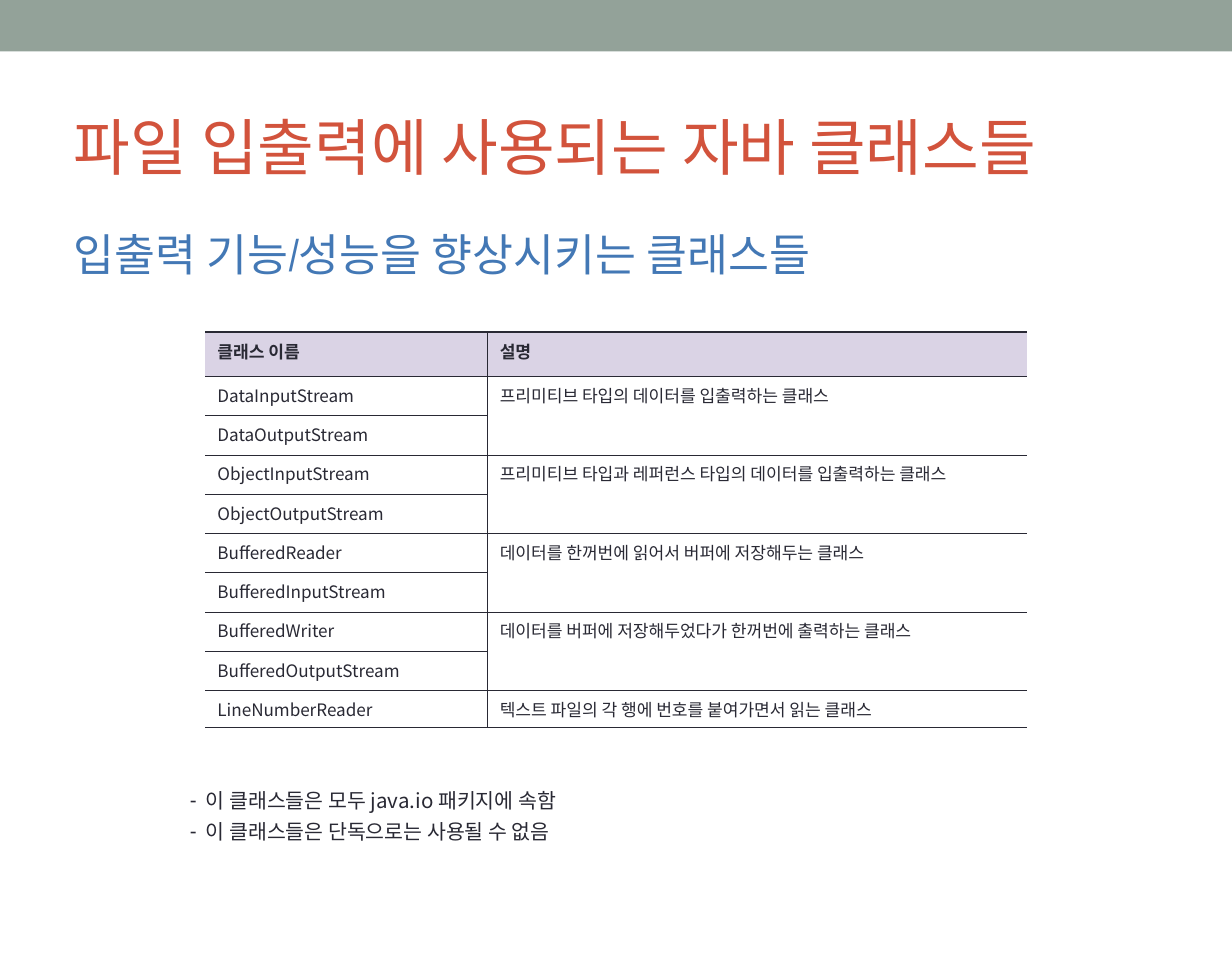
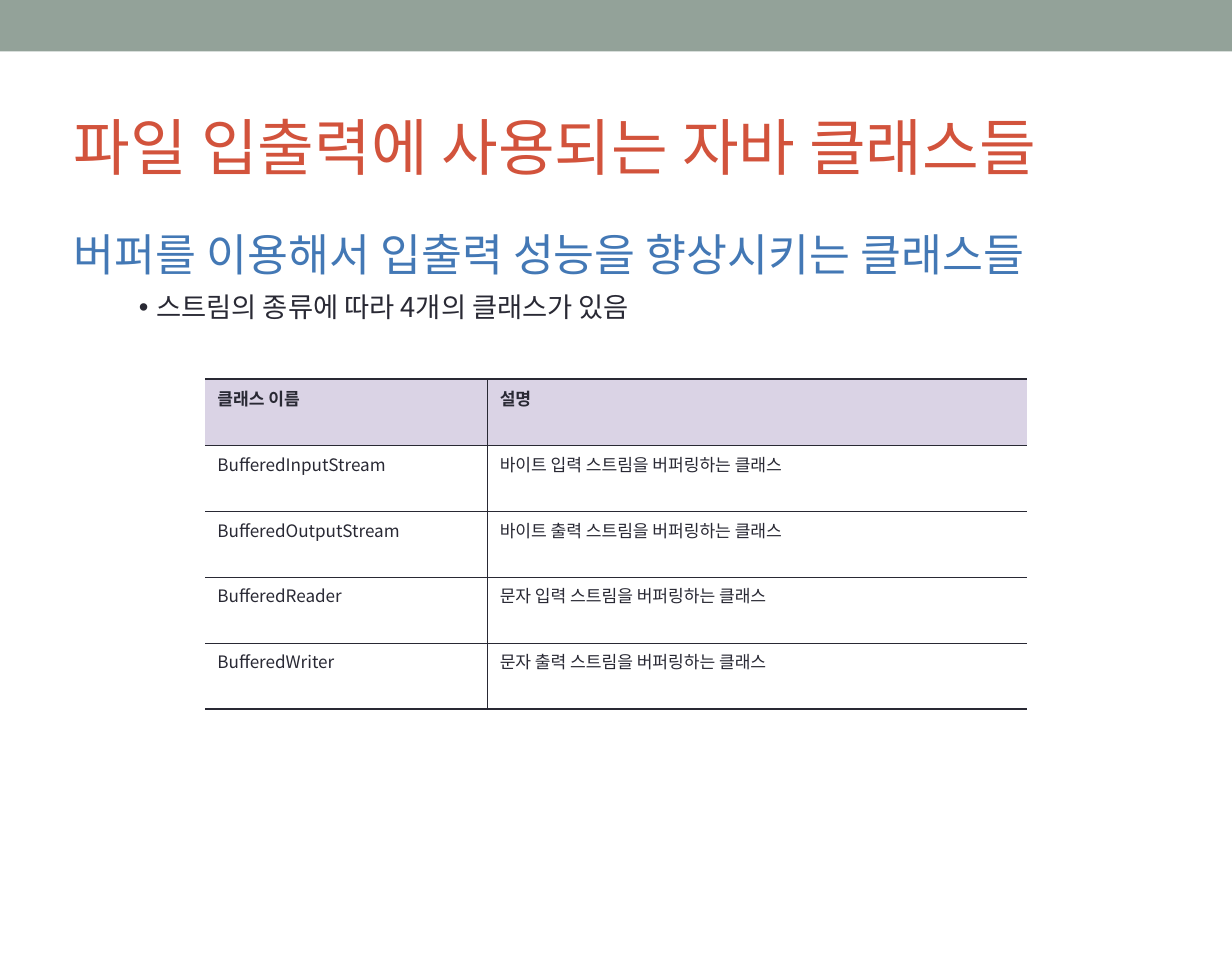
from lxml import etree
from pptx import Presentation
from pptx.dml.color import RGBColor
from pptx.enum.shapes import MSO_SHAPE
from pptx.enum.text import MSO_ANCHOR, MSO_AUTO_SIZE, PP_ALIGN
from pptx.oxml.ns import qn
from pptx.util import Cm, Pt

RECT = MSO_SHAPE.RECTANGLE
MIDDLE, TOP = MSO_ANCHOR.MIDDLE, MSO_ANCHOR.TOP
LEFT = PP_ALIGN.LEFT
FIXED = MSO_AUTO_SIZE.NONE

COLORS = {"band": "93A299", "title": "D2533C", "head": "4378B5",
          "text": "292934", "row": "DAD3E5"}
FONT, NARROW = "Noto Sans CJK KR", "Arial Narrow"
PLAIN = "{2D5ABB26-0587-4C30-8999-92F81FD0307C}"
THIN, THICK = Pt(0.45), Pt(1.08)

TITLE = "파일 입출력에 사용되는 자바 클래스들"
HEADER = ("클래스 이름", "설명")

# Notes: bullet mark, level, size, margin and hang in cm, space around.
DASH = ("-", 2, 12, 2.72, 0.33, 2.4)
DOT = ("•", 1, 16, 1.7, 0.36, 2.4)

# Each table row group: class names that share one description.
PAGES = [
    {
        "head": "입출력 기능/성능을 향상시키는 클래스들",
        "notes": ["이 클래스들은 모두 java.io 패키지에 속함",
                  "이 클래스들은 단독으로는 사용될 수 없음"],
        "mark": DASH,
        "gap": 293,
        "top": 6.85,
        "rows": [0.91] + [0.81] * 8 + [0.76],
        "groups": [
            (["DataInputStream", "DataOutputStream"],
             "프리미티브 타입의 데이터를 입출력하는 클래스"),
            (["ObjectInputStream", "ObjectOutputStream"],
             "프리미티브 타입과 레퍼런스 타입의 데이터를 입출력하는 클래스"),
            (["BufferedReader", "BufferedInputStream"],
             "데이터를 한꺼번에 읽어서 버퍼에 저장해두는 클래스"),
            (["BufferedWriter", "BufferedOutputStream"],
             "데이터를 버퍼에 저장해두었다가 한꺼번에 출력하는 클래스"),
            (["LineNumberReader"],
             "텍스트 파일의 각 행에 번호를 붙여가면서 읽는 클래스"),
        ],
    },
    {
        "head": "버퍼를 이용해서 입출력 성능을 향상시키는 클래스들",
        "notes": ["스트림의 종류에 따라 4개의 클래스가 있음"],
        "mark": DOT,
        "gap": 2.4,
        "top": 7.82,
        "rows": [1.36] * 5,
        "groups": [
            (["BufferedInputStream"], "바이트 입력 스트림을 버퍼링하는 클래스"),
            (["BufferedOutputStream"], "바이트 출력 스트림을 버퍼링하는 클래스"),
            (["BufferedReader"], "문자 입력 스트림을 버퍼링하는 클래스"),
            (["BufferedWriter"], "문자 출력 스트림을 버퍼링하는 클래스"),
        ],
    },
]


def style(para, size, color, face=FONT, bold=False):
    """Format every run; Korean letters always use FONT."""
    para.alignment = LEFT
    for run in para.runs:
        font = run.font
        font.name, font.size, font.bold = face, Pt(size), bold
        font.color.rgb = RGBColor.from_string(COLORS[color])
        east = etree.SubElement(font._element, qn("a:ea"))
        east.set("typeface", FONT)


def border(cell, sides):
    """Draw the given sides (tag to width) and hide the others."""
    props = cell._tc.get_or_add_tcPr()
    for spot, tag in enumerate(("lnL", "lnR", "lnT", "lnB")):
        line = etree.Element(qn(f"a:{tag}"))
        if tag in sides:
            line.set("w", str(int(sides[tag])))
            fill = etree.SubElement(line, qn("a:solidFill"))
            etree.SubElement(fill, qn("a:srgbClr")).set("val", COLORS["text"])
        else:
            etree.SubElement(line, qn("a:noFill"))
        props.insert(spot, line)


prs = Presentation()
prs.slide_width, prs.slide_height = Cm(25.4), Cm(20)

# Shared layout: places of title and body
layout = prs.slide_layouts[1]
for holder, top, height in zip(layout.placeholders, (1.55, 4.67), (2.9, 14.22)):
    holder.left, holder.top = Cm(1.27), Cm(top)
    holder.width, holder.height = Cm(22.86), Cm(height)

for page in PAGES:
    slide = prs.slides.add_slide(layout)

    # Title
    frame = slide.shapes.title.text_frame
    frame.text = TITLE
    frame.auto_size, frame.vertical_anchor = FIXED, MIDDLE
    style(frame.paragraphs[0], 36, "title")

    # Heading and notes
    frame = slide.placeholders[1].text_frame
    frame.text = "\n".join([page["head"], *page["notes"]])
    frame.auto_size, frame.vertical_anchor = FIXED, TOP
    head, *notes = frame.paragraphs
    head.line_spacing, head.space_before, head.space_after = 0.9, Pt(0), Pt(5.2)
    props = head._p.get_or_add_pPr()
    props.set("marL", "0")
    props.set("indent", "0")
    etree.SubElement(props, qn("a:buNone"))
    style(head, 26, "head", NARROW)

    mark, level, size, margin, hang, space = page["mark"]
    for pos, note in enumerate(notes):
        note.level, note.line_spacing = level, 0.9
        note.space_before = Pt(space if pos else page["gap"])
        note.space_after = Pt(space)
        props = note._p.get_or_add_pPr()
        props.set("marL", str(Cm(margin)))
        props.set("indent", str(-Cm(hang)))
        etree.SubElement(props, qn("a:buFont")).set("typeface", "Arial")
        etree.SubElement(props, qn("a:buChar")).set("char", mark)
        style(note, size, "text")

    # Class table
    rows = page["rows"]
    shape = slide.shapes.add_table(len(rows), 2, Cm(4.23), Cm(page["top"]),
                                   Cm(16.94), Cm(sum(rows)))
    table = shape.table
    table._tbl.tblPr.find(qn("a:tableStyleId")).text = PLAIN
    table.horz_banding = False
    for col, width in zip(table.columns, (5.82, 11.12)):
        col.width = Cm(width)
    for row, height in zip(table.rows, rows):
        row.height = Cm(height)

    table.cell(0, 0).text, table.cell(0, 1).text = HEADER
    first = 1
    for names, about in page["groups"]:
        for step, name in enumerate(names):
            table.cell(first + step, 0).text = name
        table.cell(first, 1).text = about
        last = first + len(names) - 1
        if last > first:
            table.cell(first, 1).merge(table.cell(last, 1))
        first = last + 1

    for r in range(len(rows)):
        for c, side in enumerate(("lnR", "lnL")):
            cell = table.cell(r, c)
            if r == 0:
                cell.fill.solid()
                cell.fill.fore_color.rgb = RGBColor.from_string(COLORS["row"])
            else:
                cell.fill.background()
            border(cell, {side: THIN,
                          "lnT": THICK if r == 0 else THIN,
                          "lnB": THICK if r == len(rows) - 1 else THIN})
            style(cell.text_frame.paragraphs[0], 10, "text", bold=r == 0)

# Band on top, moved to the shared layout
band = prs.slides[0].shapes.add_shape(RECT, 0, 0, prs.slide_width, Cm(1.06))
band.shadow.inherit = False
band.fill.solid()
band.fill.fore_color.rgb = RGBColor.from_string(COLORS["band"])
band.line.fill.background()
layout.shapes.element.insert(2, band.element)

prs.save("out.pptx")
